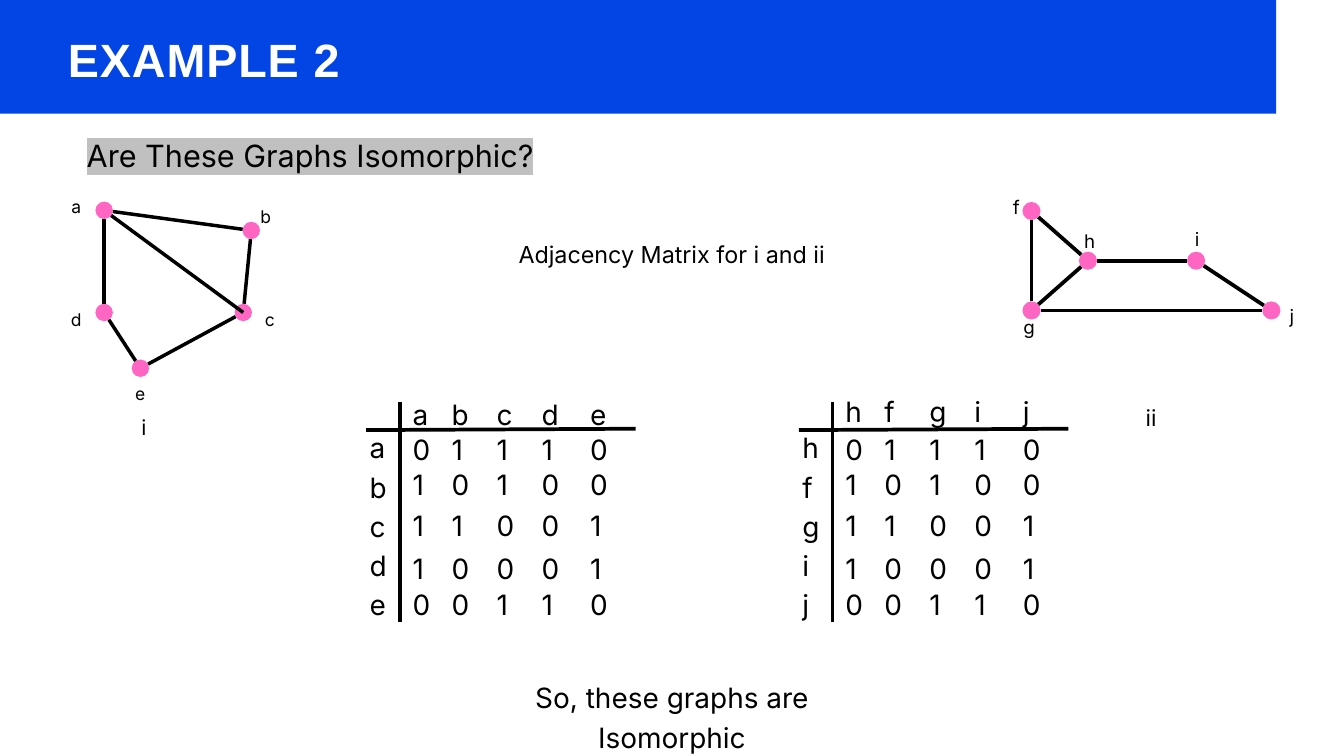
from dataclasses import dataclass
from math import hypot

from lxml.etree import SubElement
from pptx import Presentation
from pptx.dml.color import RGBColor
from pptx.enum.shapes import MSO_CONNECTOR, MSO_SHAPE
from pptx.enum.text import MSO_AUTO_SIZE, PP_ALIGN
from pptx.oxml.ns import qn
from pptx.slide import Slide
from pptx.util import Inches, Pt

COLORS = {"bar": "0345E4", "title": "FFFFFF", "ink": "000000", "vertex": "FF66C4", "highlight": "C0C0C0"}
LINE_SPACING = 1.4
COLUMN_STOPS = (0.58, 1.25, 1.92, 2.64)
ROW_TOPS = (6.35, 6.87, 7.49, 8.12, 8.66)
ADJACENCY = ("01110", "10100", "11001", "10001", "00110")


@dataclass(frozen=True)
class Vertex:
    name: str
    x: float
    y: float
    label_left: float
    label_top: float


@dataclass(frozen=True)
class Graph:
    vertices: tuple[Vertex, ...]
    edges: tuple[str, ...]
    radius: float
    line_width: float
    label_size: float
    edges_to_center: tuple[str, ...] = ()


@dataclass(frozen=True)
class Matrix:
    names: str
    left: float
    header_top: float


GRAPHS = (
    Graph(
        (
            Vertex("a", 1.55, 3.13, 1.01, 2.86),
            Vertex("b", 3.74, 3.43, 3.83, 3.02),
            Vertex("c", 3.62, 4.65, 3.89, 4.55),
            Vertex("d", 1.55, 4.65, 1.01, 4.55),
            Vertex("e", 2.09, 5.48, 1.96, 5.65),
        ),
        ("ec", "ac", "ba", "cb", "de", "da"), 0.13, 3.75, 18.7, ("ac",),
    ),
    Graph(
        (
            Vertex("f", 15.35, 3.14, 15.0, 2.86),
            Vertex("g", 15.35, 4.62, 15.19, 4.64),
            Vertex("h", 16.19, 3.88, 16.09, 3.37),
            Vertex("i", 17.8, 3.88, 17.69, 3.34),
            Vertex("j", 18.92, 4.62, 19.1, 4.48),
        ),
        ("gj", "hi", "gf", "hf", "hg", "ij"), 0.135, 4.02, 20.1,
    ),
)
MATRICES = (Matrix("abcde", 5.45, 5.83), Matrix("hfgij", 11.89, 5.79))


def add_text(slide: Slide, text: str, left: float, top: float, width: float, height: float, *,
             size: float, font: str = "Inter", color: str = "ink", bold: bool = False,
             align: PP_ALIGN = PP_ALIGN.CENTER, tracking: float = 0, highlight: str = "",
             tab_stops: tuple[float, ...] = ()) -> None:
    """Add a text box with one paragraph for each line of text."""
    shape = slide.shapes.add_textbox(Inches(left), Inches(top), Inches(width), Inches(height))
    frame = shape.text_frame
    frame.word_wrap = True
    frame.auto_size = MSO_AUTO_SIZE.SHAPE_TO_FIT_TEXT
    frame.margin_left = frame.margin_right = frame.margin_top = frame.margin_bottom = 0
    frame.text = text
    for paragraph in frame.paragraphs:
        paragraph.alignment = align
        paragraph.line_spacing = Pt(round(size * LINE_SPACING, 1))
        if tab_stops:
            tab_list = SubElement(paragraph._p.get_or_add_pPr(), qn("a:tabLst"))
            for stop in tab_stops:
                SubElement(tab_list, qn("a:tab"), pos=str(Inches(stop)), algn="l")
        for run in paragraph.runs:
            run.font.size = Pt(size)
            run.font.bold = bold
            run.font.color.rgb = RGBColor.from_string(COLORS[color])
            properties = run._r.get_or_add_rPr()
            if tracking:
                properties.set("spc", str(int(tracking * 100)))
            if highlight:
                mark = SubElement(properties, qn("a:highlight"))
                SubElement(mark, qn("a:srgbClr"), val=COLORS[highlight])
            run.font.name = font


def add_filled_shape(slide: Slide, kind: MSO_SHAPE, left: float, top: float,
                     width: float, height: float, color: str) -> None:
    """Add a filled preset shape without outline or shadow."""
    shape = slide.shapes.add_shape(kind, Inches(left), Inches(top), Inches(width), Inches(height))
    shape.shadow.inherit = False
    shape.fill.solid()
    shape.fill.fore_color.rgb = RGBColor.from_string(COLORS[color])
    shape.line.fill.background()


def add_line(slide: Slide, start: tuple[float, float], end: tuple[float, float], width: float) -> None:
    """Add a straight line without shadow."""
    connector = slide.shapes.add_connector(
        MSO_CONNECTOR.STRAIGHT, *(Inches(value) for value in (*start, *end)))
    connector.line.color.rgb = RGBColor.from_string(COLORS["ink"])
    connector.line.width = Pt(width)
    SubElement(connector._element.spPr, qn("a:effectLst"))


def draw_graph(slide: Slide, graph: Graph) -> None:
    """Draw the vertices, the edges between their rims, and the labels."""
    by_name = {vertex.name: vertex for vertex in graph.vertices}
    diameter = 2 * graph.radius
    for vertex in graph.vertices:
        add_filled_shape(slide, MSO_SHAPE.OVAL, vertex.x - graph.radius, vertex.y - graph.radius,
                         diameter, diameter, "vertex")
        add_text(slide, vertex.name, vertex.label_left, vertex.label_top, 0.25, 0.36, size=graph.label_size)
    for edge in graph.edges:
        start, end = (by_name[name] for name in edge)
        run, rise = end.x - start.x, end.y - start.y
        trim = graph.radius / hypot(run, rise)
        end_trim = 0 if edge in graph.edges_to_center else trim
        add_line(slide, (start.x + run * trim, start.y + rise * trim),
                 (end.x - run * end_trim, end.y - rise * end_trim), graph.line_width)


def draw_matrix(slide: Slide, matrix: Matrix) -> None:
    """Draw an adjacency matrix with its rules, row names and column names."""
    left = matrix.left
    add_line(slide, (left, 6.4), (left + 4.01, 6.38), 4)
    add_line(slide, (left + 0.5, 5.98), (left + 0.5, 9.26), 4)
    add_text(slide, "\n".join(matrix.names), left + 0.05, 6.33, 0.64, 2.89, size=30, align=PP_ALIGN.LEFT)
    for cells, top in zip((matrix.names, *ADJACENCY), (matrix.header_top, *ROW_TOPS)):
        add_text(slide, "\t".join(cells), left + 0.69, top, 3.31, 0.55, size=30,
                 align=PP_ALIGN.LEFT, tab_stops=COLUMN_STOPS)


def main() -> None:
    """Build the slide and save it."""
    presentation = Presentation()
    presentation.slide_width, presentation.slide_height = Inches(20), Inches(11.25)
    slide = presentation.slides.add_slide(presentation.slide_layouts[6])
    add_filled_shape(slide, MSO_SHAPE.RECTANGLE, 0, 0, 18.99, 1.69, "bar")
    add_text(slide, "EXAMPLE 2", 1.01, 0.32, 11.78, 0.93, size=50, font="Arial", color="title",
             bold=True, align=PP_ALIGN.LEFT, tracking=1)
    add_text(slide, "Are These Graphs Isomorphic?", 0.65, 1.95, 7.93, 0.61, size=32.8, highlight="highlight")
    for graph in GRAPHS:
        draw_graph(slide, graph)
    add_text(slide, "i", 2.02, 6.11, 0.24, 0.41, size=22.5)
    add_text(slide, "ii", 17, 5.94, 0.26, 0.44, size=24.1)
    add_text(slide, "Adjacency Matrix for i and ii", 7.71, 3.51, 4.57, 0.46, size=25)
    add_text(slide, "So, these graphs are Isomorphic", 6.81, 10.05, 6.38, 0.57, size=30)
    for matrix in MATRICES:
        draw_matrix(slide, matrix)
    presentation.save("out.pptx")


if __name__ == "__main__":
    main()
